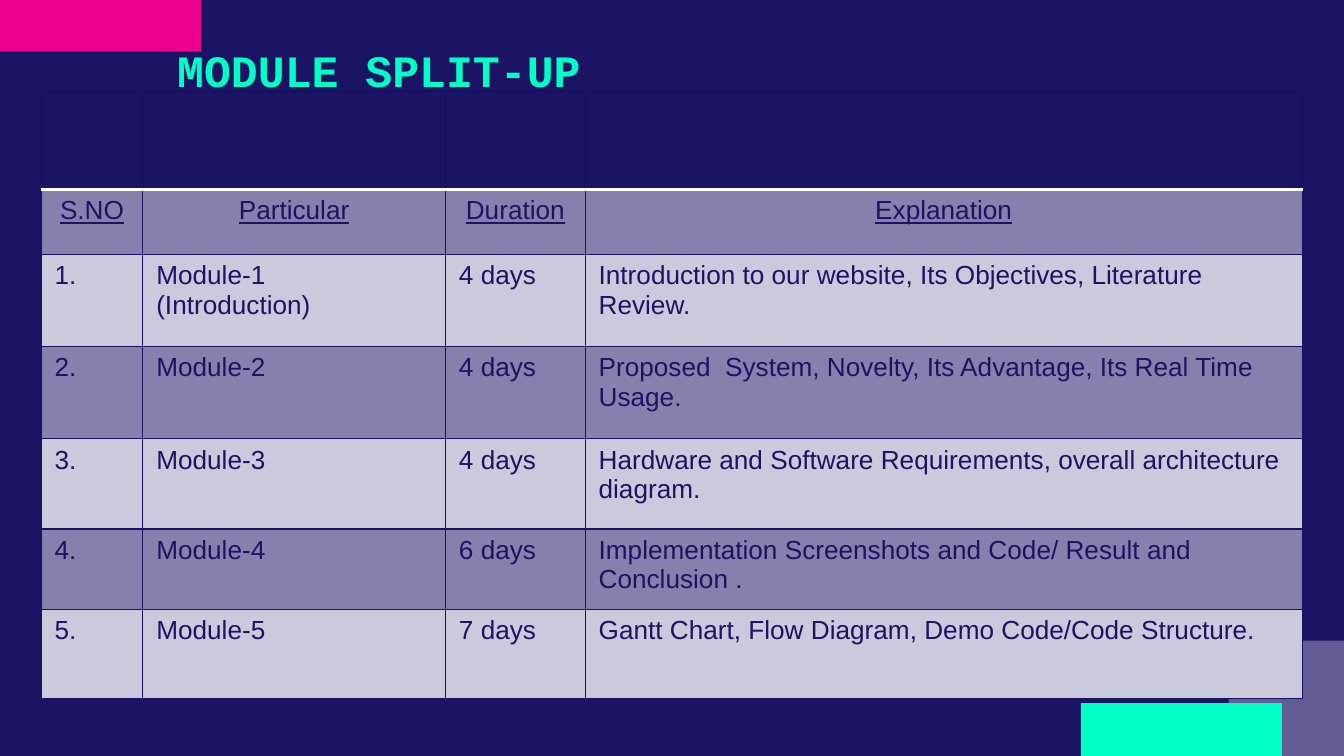
from lxml import etree
from pptx import Presentation
from pptx.dml.color import RGBColor
from pptx.enum.shapes import MSO_SHAPE
from pptx.enum.text import PP_ALIGN
from pptx.oxml.ns import qn
from pptx.util import Cm, Pt

RECTANGLE = MSO_SHAPE.RECTANGLE
CENTER, LEFT = PP_ALIGN.CENTER, PP_ALIGN.LEFT

NAVY = RGBColor(0x1B, 0x14, 0x64)
BORDER = RGBColor(0x19, 0x12, 0x64)
PINK = RGBColor(0xEC, 0x00, 0x8C)
MINT = RGBColor(0x00, 0xFF, 0xC5)
WHITE = RGBColor(0xFF, 0xFF, 0xFF)
BAND_DARK = RGBColor(0x85, 0x81, 0xAC)
BAND_LIGHT = RGBColor(0xCB, 0xC9, 0xDC)

COLUMN_WIDTHS = [1.92, 5.72, 2.64, 13.55]
ROW_HEIGHTS = [1.86, 1.23, 1.74, 1.74, 1.71, 1.52, 1.68]
HEADINGS = ["S.NO", "Particular", "Duration", "Explanation"]
MODULES = [
    ("Module-1\n(Introduction)", "4 days",
     "Introduction to our website, Its Objectives, Literature Review."),
    ("Module-2", "4 days",
     "Proposed  System, Novelty, Its Advantage, Its Real Time Usage."),
    ("Module-3", "4 days",
     "Hardware and Software Requirements, overall architecture diagram."),
    ("Module-4", "6 days",
     "Implementation Screenshots and Code/ Result and Conclusion ."),
    ("Module-5", "7 days",
     "Gantt Chart, Flow Diagram, Demo Code/Code Structure."),
]


class SlideBuilder:
    title_font, body_font = "Courier New", "Arial"
    title_size, body_size = Pt(24), Pt(14)

    def __init__(self, slide):
        self.slide = slide
        slide.background.fill.solid()
        slide.background.fill.fore_color.rgb = NAVY

    def block(self, left, top, width, height, color, opacity=100):
        block = self.slide.shapes.add_shape(
            RECTANGLE, Cm(left), Cm(top), Cm(width), Cm(height))
        block.shadow.inherit = False
        block.line.fill.background()
        block.fill.solid()
        block.fill.fore_color.rgb = color
        if opacity < 100:
            srgb = block.fill._xPr.find(".//" + qn("a:srgbClr"))
            etree.SubElement(srgb, qn("a:alpha"), val=str(opacity * 1000))

    def title(self, text, left, top, width, height):
        frame = self.slide.shapes.add_textbox(
            Cm(left), Cm(top), Cm(width), Cm(height)).text_frame
        frame.word_wrap = True
        frame.margin_top = frame.margin_bottom = Cm(0.25)
        frame.text = text
        font = frame.paragraphs[0].runs[0].font
        font.name, font.size, font.bold = self.title_font, self.title_size, True
        font.color.rgb = MINT

    def table(self, rows, left, top):
        """Add a table whose first row is an empty strip above the headings."""
        table = self.slide.shapes.add_table(
            len(rows), len(COLUMN_WIDTHS), Cm(left), Cm(top),
            Cm(sum(COLUMN_WIDTHS)), Cm(sum(ROW_HEIGHTS))).table
        table.first_row = table.horz_banding = False
        for column, width in zip(table.columns, COLUMN_WIDTHS):
            column.width = Cm(width)
        for r, (values, height) in enumerate(zip(rows, ROW_HEIGHTS)):
            table.rows[r].height = Cm(height)
            fill = NAVY if r == 0 else BAND_DARK if r % 2 else BAND_LIGHT
            for c, value in enumerate(values):
                cell = table.cell(r, c)
                self.border(cell, "L", BORDER)
                self.border(cell, "R", BORDER)
                self.border(cell, "T", *((WHITE, 2) if r == 1 else (BORDER,)))
                self.border(cell, "B", *((WHITE, 2) if r == 0 else (BORDER,)))
                cell.fill.solid()
                cell.fill.fore_color.rgb = fill
                if value:
                    self.cell_text(cell, value, heading=r == 1)

    def cell_text(self, cell, text, heading):
        cell.text_frame.text = text
        for paragraph in cell.text_frame.paragraphs:
            paragraph.alignment = CENTER if heading else LEFT
            for run in paragraph.runs:
                run.font.name, run.font.size = self.body_font, self.body_size
                run.font.color.rgb = NAVY
                run.font.underline = heading

    def border(self, cell, side, color, points=0.75):
        """Draw one cell side; call before the cell's fill is set."""
        properties = cell._tc.get_or_add_tcPr()
        line = etree.SubElement(properties, qn("a:ln" + side), w=str(Pt(points)))
        solid = etree.SubElement(line, qn("a:solidFill"))
        etree.SubElement(solid, qn("a:srgbClr"), val=str(color))


def main():
    presentation = Presentation()
    presentation.slide_width, presentation.slide_height = Cm(25.4), Cm(14.29)
    builder = SlideBuilder(
        presentation.slides.add_slide(presentation.slide_layouts[6]))

    builder.block(0, 0, 3.8, 0.98, PINK)
    builder.block(23.22, 12.11, 2.18, 2.18, WHITE, opacity=31)
    builder.block(20.43, 13.29, 3.8, 1, MINT)
    builder.title("MODULE SPLIT-UP", 3.1, 0.56, 12.7, 1.88)

    schedule = [(f"{number}.", *module)
                for number, module in enumerate(MODULES, 1)]
    builder.table([[""] * len(HEADINGS), HEADINGS, *schedule], 0.78, 1.72)

    presentation.save("out.pptx")


if __name__ == "__main__":
    main()
